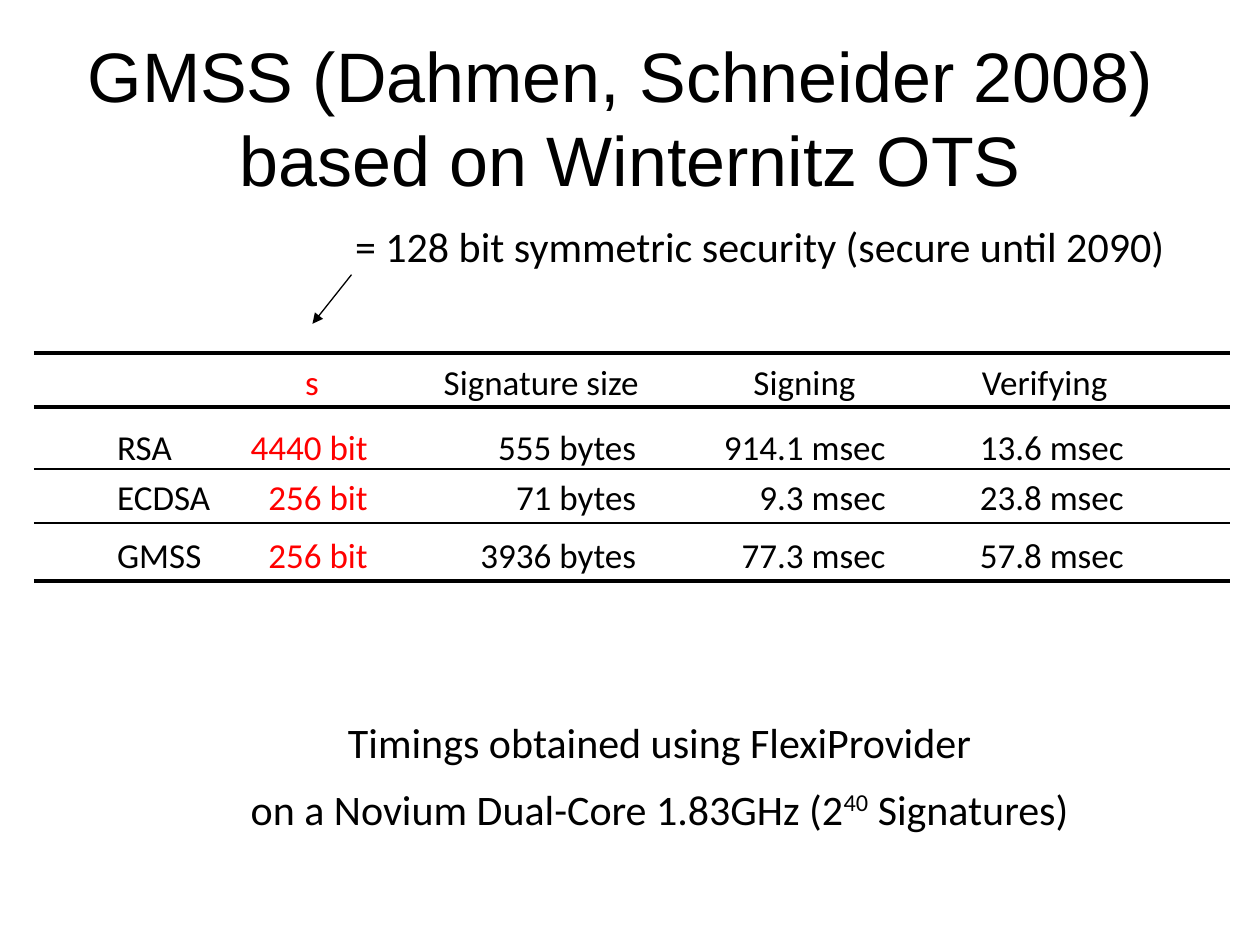
from dataclasses import dataclass

from lxml import etree
from pptx import Presentation
from pptx.dml.color import RGBColor
from pptx.enum.shapes import MSO_CONNECTOR as Connector
from pptx.enum.text import MSO_ANCHOR as Anchor, PP_ALIGN as Align
from pptx.oxml.ns import qn
from pptx.util import Inches, Pt


@dataclass(frozen=True)
class Theme:
    black: str = "000000"
    red: str = "FF0000"
    title_font: str = "Arial"
    body_font: str = "Calibri"
    title_size: float = 40
    text_size: float = 24
    table_size: float = 20
    thick: float = 2.25
    thin: float = 1
    arrow: float = 0.75


HEADER = ["", "s", "Signature size", "Signing", "Verifying"]
ROWS = [
    ["RSA", "4440 bit", "555 bytes", "914.1 msec", "13.6 msec"],
    ["ECDSA", "256 bit", "71 bytes", "9.3 msec", "23.8 msec"],
    ["GMSS", "256 bit", "3936 bytes", "77.3 msec", "57.8 msec"],
]
COLUMN_EDGES = [0.27, 1.8, 3.02, 5.15, 7.13, 9.76]
ROW_EDGES = [2.8, 3.23, 3.75, 4.15, 4.61]
LABEL_INSET = 0.66
HEADER_INSETS = [0.1, 0.49, 0.08, 0.34, 0.97]  # right insets
VALUE_INSETS = [0.1, 0.1, 0.1, 0.1, 0.84]
ROW_PADDING = 0.02


class SlideBuilder:
    def __init__(self, slide, theme):
        self.slide = slide
        self.theme = theme

    def style(self, para, size, align=Align.LEFT, color=None, font=None, before=0):
        para.alignment = align
        para.space_before = Pt(before)
        para.font.size = Pt(size)
        para.font.name = font or self.theme.body_font
        para.font.color.rgb = RGBColor.from_string(color or self.theme.black)

    def title(self, text, left, top, width, height):
        title = self.slide.shapes.title
        title.left, title.top = Inches(left), Inches(top)
        title.width, title.height = Inches(width), Inches(height)
        frame = title.text_frame
        frame.text = text
        frame.vertical_anchor = Anchor.MIDDLE
        self.style(frame.paragraphs[0], self.theme.title_size, Align.CENTER,
                   font=self.theme.title_font)

    def text(self, lines, left, top, width, height, align=Align.LEFT, before=0):
        """Each line is a list of (text, is_superscript) pairs."""
        box = self.slide.shapes.add_textbox(
            Inches(left), Inches(top), Inches(width), Inches(height))
        frame = box.text_frame
        frame.word_wrap = True
        for index, line in enumerate(lines):
            para = frame.add_paragraph() if index else frame.paragraphs[0]
            self.style(para, self.theme.text_size, align, before=before)
            for content, is_superscript in line:
                span = para.add_run()
                span.text = content
                if is_superscript:
                    span.font._element.set("baseline", "33000")

    def line(self, start, end, weight, has_arrow=False):
        line = self.slide.shapes.add_connector(
            Connector.STRAIGHT, *map(Inches, start + end))
        line.line.width = Pt(weight)
        line.line.color.rgb = RGBColor.from_string(self.theme.black)
        properties = line._element.spPr
        if has_arrow:
            etree.SubElement(properties.find(qn("a:ln")), qn("a:tailEnd"),
                             type="triangle")
        etree.SubElement(properties, qn("a:effectLst"))

    def clear_borders(self, cell):
        properties = cell._tc.get_or_add_tcPr()
        for index, tag in enumerate(("a:lnL", "a:lnR", "a:lnT", "a:lnB")):
            border = etree.Element(qn(tag), w="0")
            etree.SubElement(border, qn("a:noFill"))
            properties.insert(index, border)

    def table(self, rows, column_edges, row_edges):
        left, top = column_edges[0], row_edges[0]
        table = self.slide.shapes.add_table(
            len(rows), len(rows[0]), Inches(left), Inches(top),
            Inches(column_edges[-1] - left), Inches(row_edges[-1] - top)).table
        table.first_row = table.horz_banding = False
        for column, start, end in zip(table.columns, column_edges, column_edges[1:]):
            column.width = Inches(end - start)
        for row, start, end in zip(table.rows, row_edges, row_edges[1:]):
            row.height = Inches(end - start)

        for r, values in enumerate(rows):
            insets = VALUE_INSETS if r else HEADER_INSETS
            for c, value in enumerate(values):
                cell = table.cell(r, c)
                cell.text = value
                cell.fill.background()
                cell.vertical_anchor = Anchor.BOTTOM
                cell.margin_top = cell.margin_bottom = Inches(ROW_PADDING)
                cell.margin_left = Inches(0.1 if c else LABEL_INSET)
                cell.margin_right = Inches(insets[c])
                self.style(cell.text_frame.paragraphs[0], self.theme.table_size,
                           Align.RIGHT if c else Align.LEFT,
                           self.theme.red if c == 1 else self.theme.black)
                self.clear_borders(cell)


def main():
    deck = Presentation()
    deck.slide_width, deck.slide_height = Inches(10), Inches(7.5)
    theme = Theme()
    page = SlideBuilder(deck.slides.add_slide(deck.slide_layouts[5]), theme)

    # Title
    page.title("GMSS (Dahmen, Schneider 2008) \vbased on Winternitz OTS",
               0.5, 0.3, 9, 1.25)

    # Security level, pointing at the column of key sizes
    page.text([[("= 128 bit symmetric security (secure until 2090)", False)]],
              2.72, 1.7, 6.8, 0.5)
    page.line((2.79, 2.18), (2.48, 2.57), theme.arrow, has_arrow=True)

    # Comparison of the signature schemes
    page.table([HEADER] + ROWS, COLUMN_EDGES, ROW_EDGES)

    # Rules across the table, the header's lower one doubled
    rules = [(2.8, theme.thick), (3.23, theme.thick), (3.24, theme.thin),
             (3.72, theme.thin), (4.15, theme.thin), (4.61, theme.thick)]
    for height, weight in rules:
        page.line((COLUMN_EDGES[0], height), (COLUMN_EDGES[-1], height), weight)

    # Test conditions
    page.text([
        [("Timings obtained using FlexiProvider", False)],
        [("on a Novium Dual-Core 1.83GHz (2", False), ("40", True),
         (" Signatures)", False)],
    ], 1.22, 5.64, 8.03, 1.03, Align.CENTER, before=9.4)

    deck.save("out.pptx")


if __name__ == "__main__":
    main()
